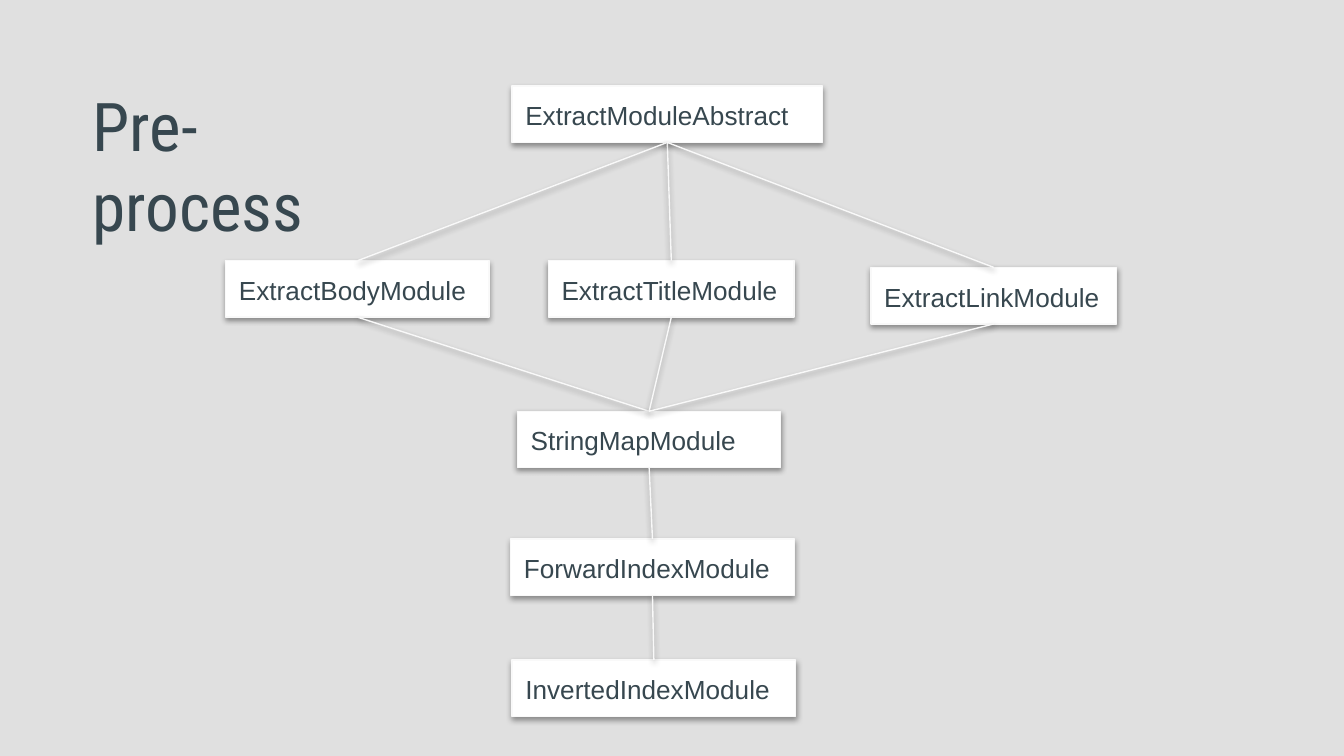
from lxml import etree
from pptx import Presentation
from pptx.dml.color import RGBColor
from pptx.enum.shapes import MSO_CONNECTOR, MSO_SHAPE
from pptx.enum.text import MSO_ANCHOR, PP_ALIGN
from pptx.oxml import parse_xml
from pptx.oxml.ns import nsdecls, qn
from pptx.util import Inches, Pt

RECTANGLE = MSO_SHAPE.RECTANGLE
STRAIGHT = MSO_CONNECTOR.STRAIGHT
LEFT = PP_ALIGN.LEFT
TOP, MIDDLE = MSO_ANCHOR.TOP, MSO_ANCHOR.MIDDLE
TOP_SIDE, BOTTOM_SIDE = 0, 2

BACKGROUND, WHITE, EDGE, INK = "E0E0E0", "FFFFFF", "F9F9F9", "37474F"
MODULE_HEIGHT = 0.42

# Left, top and width of each module, relative to the diagram
MODULES = {
    "ExtractModuleAbstract": (2.13, 0, 2.31),
    "ExtractBodyModule": (0, 1.3, 1.96),
    "ExtractTitleModule": (2.4, 1.3, 1.83),
    "ExtractLinkModule": (4.8, 1.35, 1.83),
    "StringMapModule": (2.17, 2.42, 1.96),
    "ForwardIndexModule": (2.12, 3.37, 2.11),
    "InvertedIndexModule": (2.13, 4.27, 2.11),
}
EXTRACTORS = ["ExtractBodyModule", "ExtractTitleModule", "ExtractLinkModule"]
LINKS = (
    [("ExtractModuleAbstract", name) for name in EXTRACTORS]
    + [(name, "StringMapModule") for name in EXTRACTORS]
    + [("StringMapModule", "ForwardIndexModule"),
       ("ForwardIndexModule", "InvertedIndexModule")]
)


def color(value):
    return RGBColor.from_string(value)


def style_edge(item):
    """Give a shape or connector the thin light line and soft drop shadow."""
    item.line.color.rgb = color(EDGE)
    item.line.width = Pt(0.75)
    properties = item._element.spPr
    effects = parse_xml(f"<a:effectLst {nsdecls('a')}/>")
    shadow = etree.SubElement(
        effects, qn("a:outerShdw"), blurRad=str(Pt(3.1)), dist=str(Pt(1.6)),
        dir="5400000", rotWithShape="0")
    black = etree.SubElement(shadow, qn("a:srgbClr"), val="000000")
    etree.SubElement(black, qn("a:alpha"), val="38000")
    properties.append(effects)


def write_text(shape, text, font, size, anchor):
    frame = shape.text_frame
    frame.word_wrap = True
    frame.vertical_anchor = anchor
    frame.margin_left = frame.margin_right = Inches(0.1)
    frame.margin_top = frame.margin_bottom = Inches(0.1)
    para = frame.paragraphs[0]
    para.alignment = LEFT
    span = para.add_run()
    span.text = text
    span.font.name = font
    span.font.size = Pt(size)
    span.font.color.rgb = color(INK)


def add_title(page, left, top, width, height):
    box = page.shapes.add_textbox(
        Inches(left), Inches(top), Inches(width), Inches(height))
    write_text(box, "Pre-process", "Roboto Condensed", 36, MIDDLE)


def add_diagram(page, left, top):
    # Module boxes
    boxes = {}
    for name, (x, y, width) in MODULES.items():
        box = page.shapes.add_shape(
            RECTANGLE, Inches(left + x), Inches(top + y),
            Inches(width), Inches(MODULE_HEIGHT))
        box.fill.solid()
        box.fill.fore_color.rgb = color(WHITE)
        style_edge(box)
        write_text(box, name, "Arial", 14, TOP)
        boxes[name] = box

    # Links from the bottom of one module to the top of the next
    for source, target in LINKS:
        link = page.shapes.add_connector(STRAIGHT, 0, 0, 0, 0)
        link.begin_connect(boxes[source], BOTTOM_SIDE)
        link.end_connect(boxes[target], TOP_SIDE)
        style_edge(link)


def main():
    deck = Presentation()
    # Widescreen, 16:9
    deck.slide_width = Inches(10)
    deck.slide_height = deck.slide_width * 9 // 16
    page = deck.slides.add_slide(deck.slide_layouts[6])
    page.background.fill.solid()
    page.background.fill.fore_color.rgb = color(BACKGROUND)
    add_diagram(page, 1.68, 0.64)
    add_title(page, 0.59, 0.47, 2.47, 1.51)
    deck.save("out.pptx")


if __name__ == "__main__":
    main()
